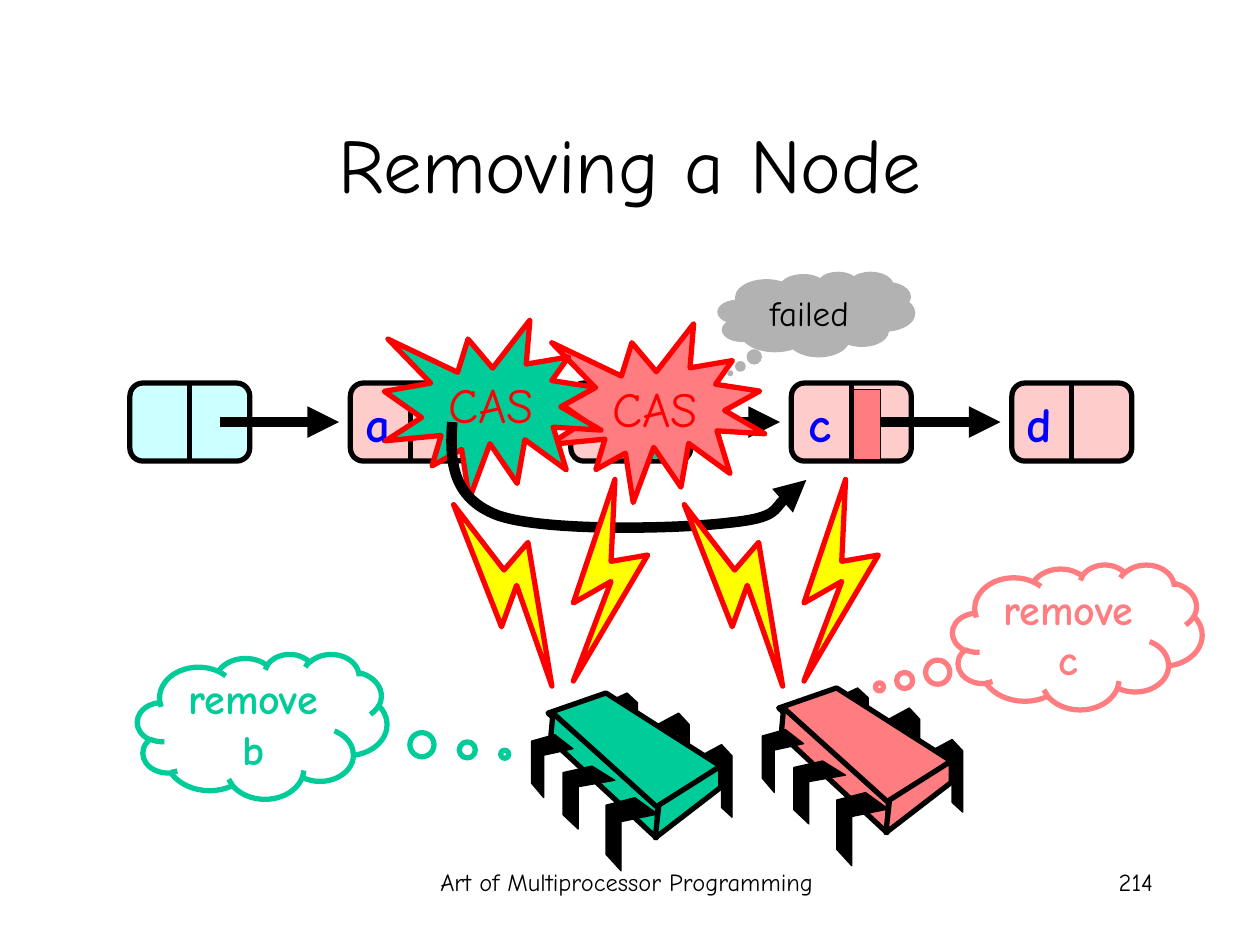
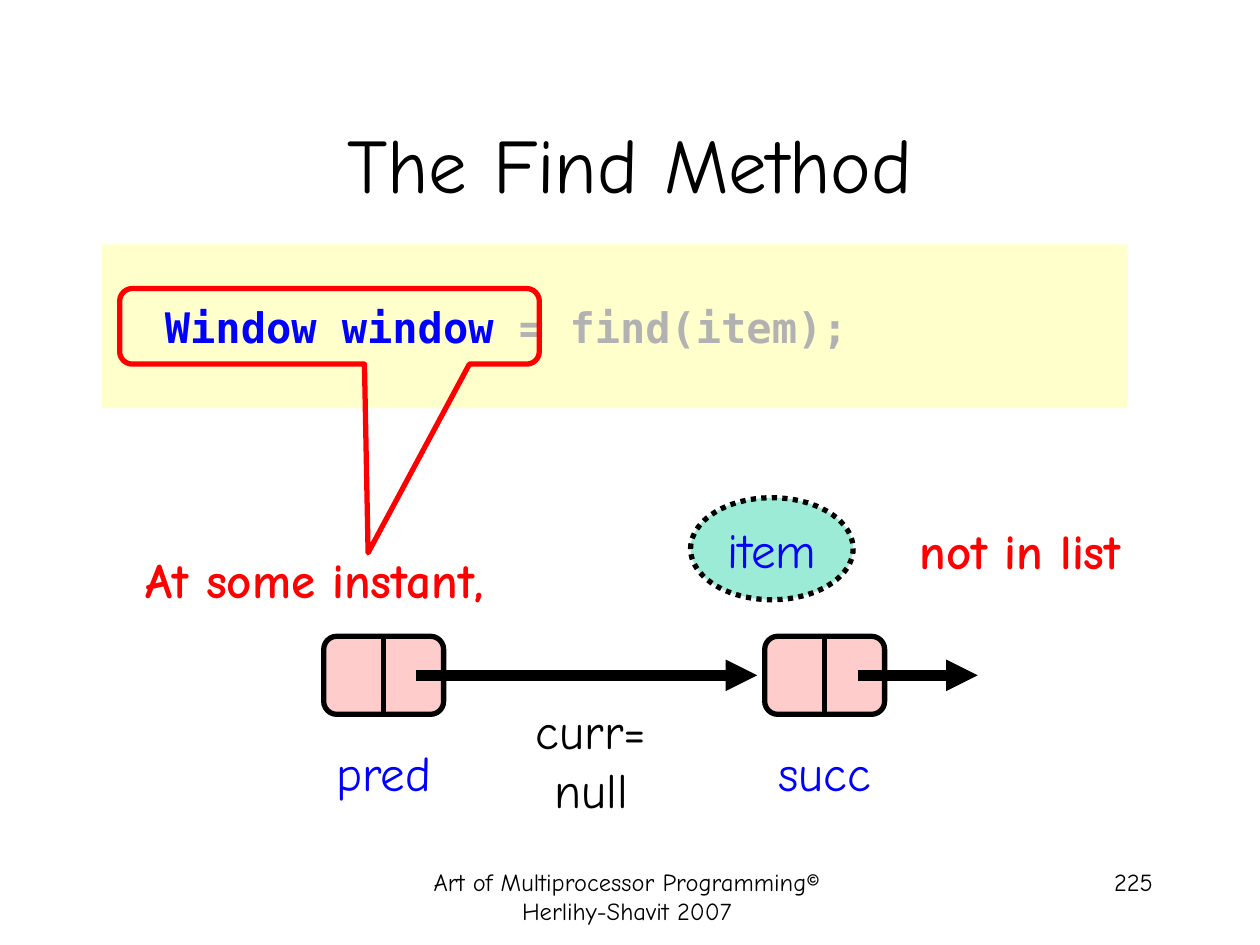
from lxml import etree
from pptx import Presentation
from pptx.dml.color import RGBColor
from pptx.enum.dml import MSO_LINE
from pptx.enum.shapes import MSO_CONNECTOR, MSO_SHAPE
from pptx.enum.text import MSO_ANCHOR, PP_ALIGN
from pptx.oxml.ns import qn
from pptx.util import Pt

LEFT, MID, RIGHT = PP_ALIGN.LEFT, PP_ALIGN.CENTER, PP_ALIGN.RIGHT
TOP, CORE = MSO_ANCHOR.TOP, MSO_ANCHOR.MIDDLE
RECT, ROUND, OVAL = MSO_SHAPE.RECTANGLE, MSO_SHAPE.ROUNDED_RECTANGLE, MSO_SHAPE.OVAL
CLOUD, BURST = MSO_SHAPE.CLOUD_CALLOUT, MSO_SHAPE.EXPLOSION1
BUBBLE = MSO_SHAPE.ROUNDED_RECTANGULAR_CALLOUT
LINE, DOTS = MSO_CONNECTOR.STRAIGHT, MSO_LINE.ROUND_DOT

BLACK = RGBColor(0, 0, 0)
RED = RGBColor(0xFF, 0, 0)
BLUE = RGBColor(0, 0, 0xFF)
GREEN = RGBColor(0, 0xCC, 0x99)
CORAL = RGBColor(0xFF, 0x7C, 0x80)
PINK = RGBColor(0xFF, 0xCC, 0xCC)
AQUA = RGBColor(0xCC, 0xFF, 0xFF)
GRAY = RGBColor(0xB2, 0xB2, 0xB2)
CREAM = RGBColor(0xFF, 0xFF, 0xCC)
YELLOW = RGBColor(0xFF, 0xFF, 0)

HAND, MONO = "Comic Neue", "DejaVu Sans Mono"
STEP = 126
NODE_W, NODE_H = 68.5, 44.6

BACK_PIN = [(0, 6.5), (12, 0), (18, 6.5), (18, 41.5), (12, 36), (12, 12), (0, 18)]
FRONT_PIN = [(16.5, 0), (29.5, 9.4), (8.6, 13.7), (8.6, 41.8), (0, 32.4), (0, 4.3)]
BACK_AT = [(96.5, 29.5, 1, 1), (72, 11.5, 1, 1), (42.5, 0, 1, 0.86)]
FRONT_AT = [(42.5, 59.8, 1, 1), (18, 41.8, 1, 0.86), (0, 23.8, 0.8, 0.86)]
FACES = [
    [(42.5, 0), (108, 41.8), (71.3, 66.2), (9.4, 11.5)],
    [(12.2, 11.5), (72, 65.5), (71.3, 82.8), (10.8, 26.6)],
    [(108, 41.8), (108, 54), (70.6, 82.8), (72.7, 64.1)],
]
BOLTS = [
    [(68.4 + 23.8, 0), (68.4, 70.6), (90, 58.3), (68.4, 115.2), (110.9, 43.2), (90, 46.8)],
    [(0, 14.4), (27.4, 84.2), (36, 60.5), (56.2, 118.1), (42.5, 36), (28.8, 51.8)],
]
SWOOP = [(258.5, 241.2), (257, 262.8), (257.8, 284.4), (284.4, 294.5),
         (310.3, 303.8), (386.6, 302.4), (416.2, 298.8),
         (445, 295.9), (451.4, 279.4), (460.8, 274.3)]


def paint(shape, fill, edge=None, width=3):
    shape.shadow.inherit = False
    if fill is None:
        shape.fill.background()
    else:
        shape.fill.solid()
        shape.fill.fore_color.rgb = fill
    if edge is None:
        shape.line.fill.background()
    else:
        shape.line.color.rgb = edge
        shape.line.width = Pt(width)


def write(shape, runs, size, bold=False, align=MID, anchor=TOP, wrap=True, font=HAND):
    frame = shape.text_frame
    frame.word_wrap = wrap
    frame.vertical_anchor = anchor
    para = frame.paragraphs[0]
    para.alignment = align
    for text, color in runs:
        run = para.add_run()
        run.text = text
        run.font.name = font
        run.font.size = Pt(size)
        run.font.bold = bold
        run.font.color.rgb = color


def label(slide, box, text, size, color=BLACK, **style):
    area = slide.shapes.add_textbox(*map(Pt, box))
    write(area, [(text, color)], size, **style)


def block(slide, kind, box, fill, edge=None, width=3, adj=()):
    shape = slide.shapes.add_shape(kind, *map(Pt, box))
    for i, value in enumerate(adj):
        shape.adjustments[i] = value
    paint(shape, fill, edge, width)
    return shape


def outline(slide, x, y, points, fill, edge, width, scale=(1, 1), close=True):
    spots = [(Pt(x + px * scale[0]), Pt(y + py * scale[1])) for px, py in points]
    maker = slide.shapes.build_freeform(*spots[0], scale=1.0)
    maker.add_line_segments(spots[1:], close=close)
    shape = maker.convert_to_shape()
    paint(shape, fill, edge, width)
    return shape


def tip(shape):
    etree.SubElement(shape.line._get_or_add_ln(), qn("a:tailEnd"), type="triangle")


def link(slide, x1, y1, x2, y2, width):
    line = slide.shapes.add_connector(LINE, Pt(x1), Pt(y1), Pt(x2), Pt(y2))
    line.line.color.rgb = BLACK
    line.line.width = Pt(width)
    etree.SubElement(line._element.spPr, qn("a:effectLst"))
    return line


def arrow(slide, x1, x2, y):
    tip(link(slide, x1, y, x2, y, 6))


def node(slide, x, y, fill, name=None):
    cell = block(slide, ROUND, (x, y, NODE_W, NODE_H), fill, BLACK, adj=[0.167])
    half = x + NODE_W / 2
    split = link(slide, half, y, half, y + NODE_H, 3)
    split.begin_connect(cell, 0)
    split.end_connect(cell, 2)
    if name:
        label(slide, (x + 1.2, y + 2.2, 28.6, 41), name, 28, BLUE,
              bold=True, align=RIGHT, wrap=False)


def chip(slide, x, y, color):
    for dx, dy, *scale in BACK_AT:
        outline(slide, x + dx, y + dy, BACK_PIN, BLACK, BLACK, 0.75, scale)
    for face in FACES:
        outline(slide, x, y, face, color, BLACK, 3)
    for dx, dy, *scale in FRONT_AT:
        outline(slide, x + dx, y + dy, FRONT_PIN, BLACK, BLACK, 0.75, scale)


def bolts(slide, x, y):
    for points in BOLTS:
        outline(slide, x, y, points, YELLOW, RED, 3)


def thought(slide, x, y, text, color, adj):
    cloud = block(slide, CLOUD, (x, y, 142.6, 82.8), None, color, adj=adj)
    write(cloud, [(text, color)], 24, bold=True, anchor=CORE)


def burst(slide, x, y, color):
    star = block(slide, BURST, (x, y, 123.8, 102.2), color, RED)
    write(star, [("CAS", RED)], 28, anchor=CORE, wrap=False)


def swoop(slide):
    shape = outline(slide, 0, 0, SWOOP, None, BLACK, 6, close=False)
    geom = next(shape._element.iter(qn("a:path")))
    legs = geom.findall(qn("a:lnTo"))
    for i in range(0, len(legs), 3):
        curve = etree.SubElement(geom, qn("a:cubicBezTo"))
        for leg in legs[i:i + 3]:
            curve.append(leg[0])
            geom.remove(leg)
    tip(shape)


def base(deck, title, foot, page):
    slide = deck.slides.add_slide(deck.slide_layouts[6])
    label(slide, (223.2, 491.8, 270, 36), foot, 14)
    label(slide, (516.2, 491.8, 149.8, 36), page, 14, align=RIGHT)
    label(slide, (54, 48.2, 612, 90), title, 44, anchor=CORE)
    return slide


def remove(deck):
    slide = base(deck, "Removing a Node", "Art of Multiprocessor Programming", "214")
    x, y = 74.2, 218.9
    for i, name in enumerate([None, "a", "b", "c", "d"]):
        node(slide, x + i * STEP, y, PINK if name else AQUA, name)
    for dx, color in [(288, GREEN), (413.3, CORAL)]:
        block(slide, RECT, (x + dx, y + 3.6, 15.8, 40.3), color, BLACK, 0.75)
    for i in range(4):
        arrow(slide, 125.5 + i * STEP, 193.7 + i * STEP, 241.2)
    chip(slide, 303.8, 396, GREEN)
    chip(slide, 435.6, 393.1, CORAL)
    thought(slide, 78.5, 373.7, "remove b", GREEN, [0.972, 0.192])
    thought(slide, 544.3, 322.6, "remove c", CORAL, [-0.793, 0.344])
    burst(slide, 313.2, 185, CORAL)
    burst(slide, 219.6, 182.9, GREEN)
    swoop(slide)
    cloud = block(slide, CLOUD, (410.4, 155.5, 112.3, 48.2), GRAY, GRAY, 0.75, [-0.438, 0.7])
    write(cloud, [("failed", BLACK)], 20)
    for left in (391, 259.2):
        bolts(slide, left, 274)


def find(deck):
    slide = base(deck, "The Find Method",
                 "Art of Multiprocessor Programming© Herlihy-Shavit 2007", "225")
    code = block(slide, RECT, (58.3, 139.7, 586.1, 93.6), CREAM)
    write(code, [("  Window window ", BLUE), ("= find(item);", GRAY)], 24,
          bold=True, align=LEFT, anchor=CORE, font=MONO)
    block(slide, BUBBLE, (68.4, 164.9, 239.8, 43.2), None, RED, adj=[0.092, 2.997, 0.167])
    label(slide, (31, 310.3, 307.4, 41), "At some instant, ", 28, RED, bold=True)
    x, y = 185, 363.6
    for i, name in enumerate(["pred", "succ"]):
        left = x + i * 2 * STEP
        node(slide, left, y, PINK)
        label(slide, (left, 420.5, NODE_W, 41), name, 28, BLUE, wrap=False)
    arrow(slide, 237.6, 432.7, 385.9)
    arrow(slide, 490.3, 558.7, 385.9)
    label(slide, (273.6, 396.7, 128.2, 41), "curr= null", 28, wrap=False)
    item = block(slide, OVAL, (394.6, 284.4, 92.9, 58.3), GREEN, BLACK)
    item.line.dash_style = DOTS
    tint = item._element.spPr.find(qn("a:solidFill"))[0]
    etree.SubElement(tint, qn("a:alpha"), val="39000")
    write(item, [("item", BLUE)], 28, anchor=CORE, wrap=False)
    label(slide, (484.6, 293.8, 206.6, 41), "not in list ", 28, RED, bold=True)


def main():
    deck = Presentation()
    deck.slide_width, deck.slide_height = Pt(720), Pt(540)
    remove(deck)
    find(deck)
    deck.save("out.pptx")


if __name__ == "__main__":
    main()
